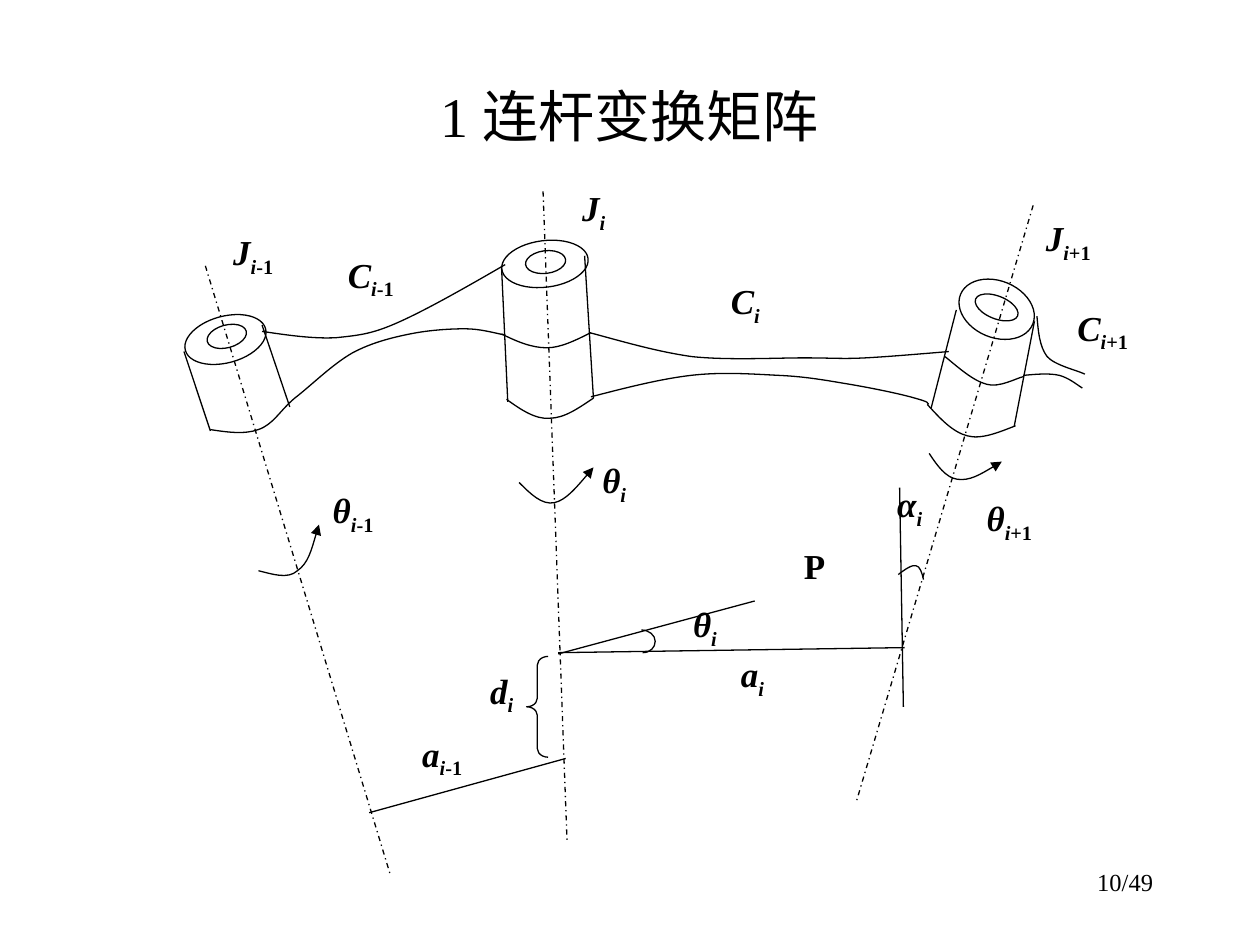
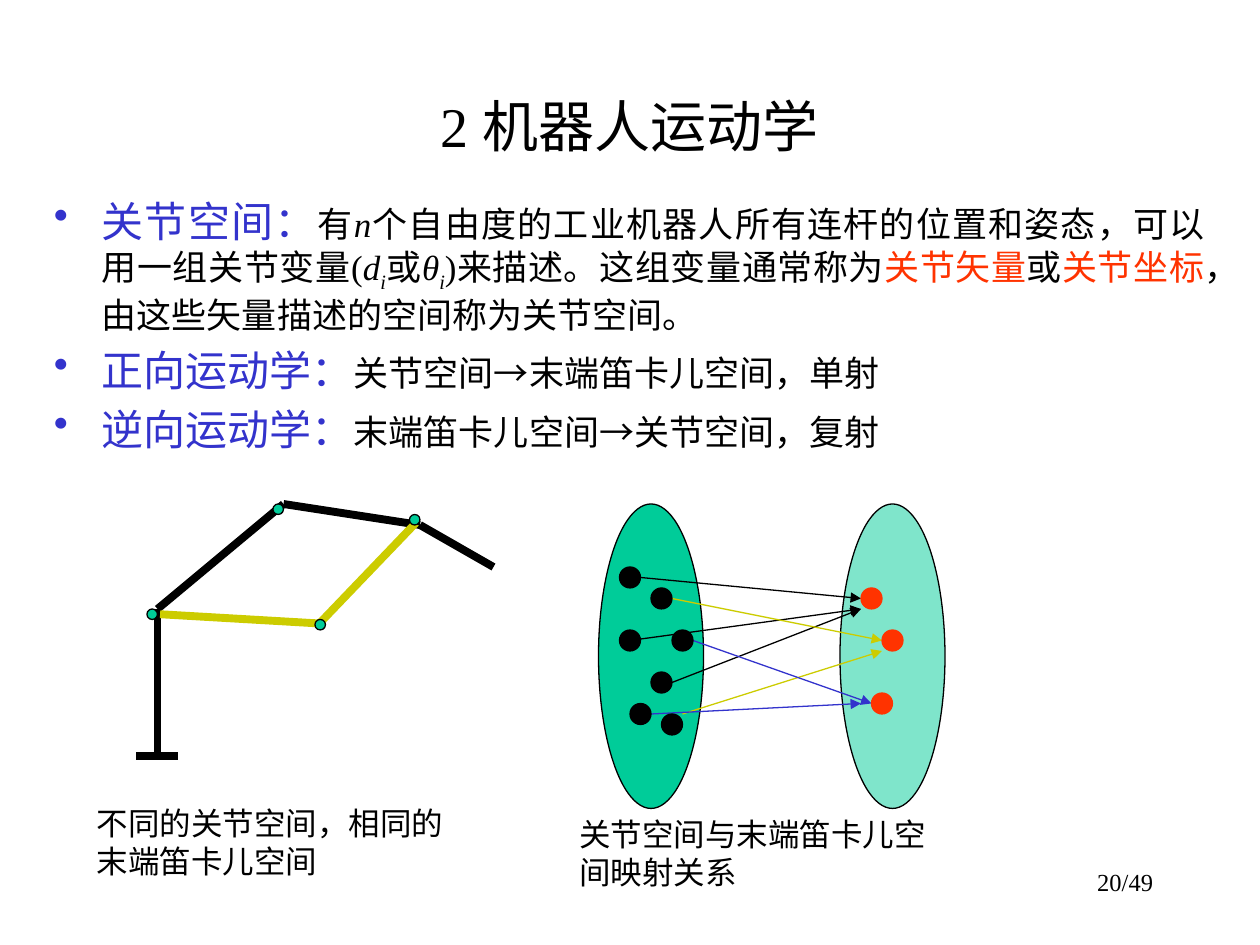
from pptx import Presentation
from pptx import util as u
from pptx.dml.color import RGBColor
from pptx.enum import dml, shapes, text
from pptx.oxml import parse_xml
from pptx.oxml.ns import nsdecls, qn
from pptx.oxml.xmlchemy import OxmlElement

theme = dict(font="Times New Roman", black="000000", blue="3333CC", red="FF3300",
             green="00CC99", olive="CCCC00", title=32, lead=24, body=20,
             note=18, foot=14, thin=0.75, thick=4.5)
oval = shapes.MSO_SHAPE.OVAL
left, mid, right, just = (text.PP_ALIGN.LEFT, text.PP_ALIGN.CENTER,
                          text.PP_ALIGN.RIGHT, text.PP_ALIGN.JUSTIFY)


def write(para, size, runs, align=left):
    """Fill a paragraph with (words, format) runs."""
    para.alignment = align
    for words, form in runs:
        run = para.add_run()
        run.text = words
        base = dict(name=theme["font"], size=u.Pt(form.get("size", size)),
                    bold=form.get("bold", False), italic=form.get("italic", False))
        for key, val in base.items():
            setattr(run.font, key, val)
        run.font.color.rgb = RGBColor.from_string(theme[form.get("ink", "black")])
        if form.get("sub"):
            run._r.get_or_add_rPr().set("baseline", "-25000")


def style(shape, ink="black", width=theme["thin"], fill=None, dash=None, tip=False, turn=0):
    """Set the line, fill, arrowhead and rotation, and drop the shadow."""
    if hasattr(shape, "fill"):
        if fill:
            shape.fill.solid()
            shape.fill.fore_color.rgb = RGBColor.from_string(theme[fill])
        else:
            shape.fill.background()
        shape.rotation = turn
    shape.line.color.rgb = RGBColor.from_string(theme[ink])
    shape.line.width = u.Pt(width)
    if dash:
        shape.line.dash_style = dash
    if tip:
        shape.line._get_or_add_ln().append(
            parse_xml('<a:tailEnd %s type="triangle"/>' % nsdecls("a")))
    shape._element.spPr.append(OxmlElement("a:effectLst"))


deck = Presentation()
deck.slide_width, deck.slide_height = u.Inches(10), u.Inches(7.5)

# Title and page number of each slide
pages = []
for name, tall, page in [("1 连杆变换矩阵", 0.67, "10/49"), ("2 机器人运动学", 0.83, "20/49")]:
    slide = deck.slides.add_slide(deck.slide_layouts[5])
    head = slide.shapes.title
    place = dict(left=0.75, top=0.58, width=8.5, height=tall)
    for key, val in place.items():
        setattr(head, key, u.Inches(val))
    head.text_frame.auto_size = text.MSO_AUTO_SIZE.NONE
    head.text_frame.vertical_anchor = text.MSO_ANCHOR.MIDDLE
    write(head.text_frame.paragraphs[0], theme["title"], [(name, {})], mid)
    foot = slide.shapes.add_textbox(*map(u.Inches, (7.17, 6.83, 2.08, 0.5)))
    foot.text_frame.word_wrap = True
    write(foot.text_frame.paragraphs[0], theme["foot"], [(page, {})], right)
    pages.append(slide.shapes)
link, space = pages

# Slide 1: rings on top of the three joints
rings = [(1.64, 2.58, 0.32, 0.18, 345), (1.46, 2.51, 0.66, 0.37, 345),
         (4.17, 1.99, 0.32, 0.18, 352.9), (3.98, 1.91, 0.69, 0.37, 352.9),
         (7.73, 2.35, 0.36, 0.18, 21.8), (7.6, 2.23, 0.62, 0.45, 22.6)]
for *box, turn in rings:
    style(link.add_shape(oval, *map(u.Inches, box)), turn=turn)

# Straight lines: joint sides, common normals, then joint axes
sides = [(1.46, 2.79, 1.67, 3.42), (2.08, 2.58, 2.3, 3.23),
         (3.98, 2.11, 4.03, 3.19), (4.64, 2.03, 4.71, 3.16),
         (7.59, 2.46, 7.39, 3.24), (8.21, 2.55, 8.05, 3.38)]
norms = [(2.93, 6.45, 4.49, 6.02), (4.43, 5.18, 7.18, 5.14),
         (7.14, 3.87, 7.17, 5.61), (4.43, 5.19, 5.99, 4.77)]
axes = [(1.63, 2.11, 3.1, 6.95), (4.31, 1.52, 4.5, 6.67), (8.2, 1.63, 6.8, 6.35)]
for rows, dash in [(sides + norms, None), (axes, dml.MSO_LINE.DASH_DOT)]:
    for ends in rows:
        line = link.add_connector(shapes.MSO_CONNECTOR.STRAIGHT, *map(u.Inches, ends))
        style(line, dash=dash)

# Curves: a start point, then three points for each Bezier piece
curves = [
    # Left link
    [(1.67, 3.41), (1.8, 3.43), (1.94, 3.45), (2.05, 3.41), (2.17, 3.37), (2.22, 3.26),
     (2.34, 3.16), (2.47, 3.06), (2.64, 2.89), (2.8, 2.8), (2.95, 2.72), (3.11, 2.68),
     (3.26, 2.65), (3.41, 2.62), (3.57, 2.61), (3.69, 2.61), (3.81, 2.61), (3.91, 2.64),
     (4.01, 2.66)],
    [(2.08, 2.63), (2.28, 2.66), (2.49, 2.69), (2.67, 2.68), (2.86, 2.66), (2.96, 2.65),
     (3.18, 2.55), (3.4, 2.45), (3.7, 2.28), (4.01, 2.1)],
    # Bands of the middle and right joints
    [(3.98, 2.65), (4.1, 2.71), (4.22, 2.76), (4.34, 2.76), (4.45, 2.76), (4.57, 2.7),
     (4.69, 2.64)],
    [(4.02, 3.17), (4.13, 3.25), (4.25, 3.33), (4.36, 3.32), (4.48, 3.32), (4.59, 3.24),
     (4.71, 3.16)],
    [(7.5, 2.83), (7.61, 2.92), (7.72, 3.02), (7.83, 3.05), (7.93, 3.08), (8.07, 3),
     (8.12, 2.99)],
    [(7.36, 3.21), (7.46, 3.32), (7.56, 3.43), (7.68, 3.46), (7.79, 3.49), (7.93, 3.43),
     (8.06, 3.38)],
    # Middle link
    [(4.68, 2.64), (4.94, 2.71), (5.21, 2.79), (5.49, 2.83), (5.77, 2.86), (6.16, 2.84),
     (6.38, 2.84), (6.61, 2.84), (6.68, 2.85), (6.87, 2.84), (7.06, 2.83), (7.29, 2.81),
     (7.53, 2.79)],
    [(4.69, 3.15), (4.96, 3.08), (5.23, 3.01), (5.48, 2.98), (5.73, 2.95), (5.98, 2.97),
     (6.19, 2.98), (6.4, 2.99), (6.56, 3.02), (6.74, 3.05), (6.92, 3.08), (7.16, 3.13),
     (7.26, 3.16), (7.37, 3.19), (7.37, 3.2), (7.37, 3.21)],
    # Right link
    [(8.23, 2.51), (8.24, 2.63), (8.25, 2.75), (8.31, 2.83), (8.37, 2.9), (8.55, 2.94),
     (8.61, 2.97)],
    [(8.12, 2.98), (8.22, 2.97), (8.33, 2.96), (8.41, 2.98), (8.48, 3), (8.53, 3.04),
     (8.59, 3.08)],
    # Angle marks
    [(7.13, 4.56), (7.18, 4.52), (7.24, 4.48), (7.27, 4.49), (7.3, 4.49), (7.32, 4.55),
     (7.33, 4.6)],
    [(5.09, 5), (5.15, 5), (5.2, 5.04), (5.2, 5.09), (5.2, 5.14), (5.16, 5.18),
     (5.1, 5.18)],
]
spins = [
    ([(4.12, 3.83), (4.21, 3.92), (4.3, 4.01), (4.4, 3.99), (4.49, 3.97), (4.6, 3.84),
      (4.71, 3.71)], 0),
    ([(2.03, 4.47), (2.13, 4.52), (2.24, 4.59), (2.33, 4.54), (2.43, 4.5), (2.5, 4.36),
      (2.58, 4.22)], 347.1),
    ([(7.36, 3.64), (7.44, 3.73), (7.52, 3.81), (7.61, 3.81), (7.71, 3.81), (7.82, 3.72),
      (7.94, 3.62)], 8.4),
]
for dots, turn, tip in [(c, 0, False) for c in curves] + [(*s, True) for s in spins]:
    start, *rest = [(u.Inches(x), u.Inches(y)) for x, y in dots]
    pen = link.build_freeform(*start)
    pen.add_line_segments(rest, close=False)
    curve = pen.convert_to_shape()
    steps = list(curve._element.iter(qn("a:lnTo")))
    for i in range(0, len(steps), 3):
        bend = OxmlElement("a:cubicBezTo")
        steps[i].addprevious(bend)
        for step in steps[i:i + 3]:
            bend.append(step[0])
            step.getparent().remove(step)
    style(curve, tip=tip, turn=turn)

# Brace for the link offset
brace = link.add_shape(shapes.MSO_SHAPE.LEFT_BRACE, *map(u.Inches, (4.18, 5.21, 0.17, 0.8)))
brace.adjustments[0] = 0.403
style(brace)

# Symbols: letter, then lowered index and offset
marks = [(4.6, 1.47, "J", "i", ""), (1.83, 1.82, "J", "i", "-1"), (8.28, 1.71, "J", "i", "+1"),
         (2.74, 2, "C", "i", "-1"), (5.78, 2.21, "C", "i", ""), (8.53, 2.42, "C", "i", "+1"),
         (3.87, 5.3, "d", "i", ""), (3.33, 5.8, "a", "i", "-1"), (5.86, 5.17, "a", "i", ""),
         (5.48, 4.77, "θ", "i", ""), (7.1, 3.82, "α", "i", ""), (6.36, 4.31, "P", "", ""),
         (4.76, 3.63, "θ", "i", ""), (2.62, 3.87, "θ", "i", "-1"), (7.81, 3.93, "θ", "i", "+1")]
inset = dict(margin_left=0.02, margin_top=0.01, margin_right=0.02, margin_bottom=0.01)
for x, y, sign, index, shift in marks:
    frame = link.add_textbox(*map(u.Inches, (x, y, 0.58, 0.5))).text_frame
    frame.word_wrap = True
    for key, val in inset.items():
        setattr(frame, key, u.Inches(val))
    runs = [(sign, dict(bold=True, italic=bool(index))),
            (index, dict(bold=True, italic=True, sub=True)),
            (shift, dict(bold=True, sub=True))]
    write(frame.paragraphs[0], theme["body"], [r for r in runs if r[0]], just)

# Slide 2: bulleted definitions
lead = dict(size=theme["lead"], ink="blue")
red, slant, low = dict(ink="red"), dict(italic=True), dict(italic=True, sub=True)
points = [
    [("关节空间：", lead), ("有", {}), ("n", slant),
     ("个自由度的工业机器人所有连杆的位置和姿态，可以用一组关节变量(", {}),
     ("d", slant), ("i", low), ("或", {}), ("θ", slant), ("i", low),
     (")来描述。这组变量通常称为", {}), ("关节矢量", red), ("或", {}), ("关节坐标", red),
     ("，由这些矢量描述的空间称为关节空间。", {})],
    [("正向运动学：", lead), ("关节空间→末端笛卡儿空间，单射", {})],
    [("逆向运动学：", lead), ("末端笛卡儿空间→关节空间，复射", {})],
]
frame = space.add_textbox(*map(u.Inches, (0.33, 1.5, 9.33, 5.5))).text_frame
frame.word_wrap = True
for i, runs in enumerate(points):
    para = frame.add_paragraph() if i else frame.paragraphs[0]
    para.space_before = u.Pt(5)
    write(para, theme["body"], runs, just)
    props = para._p.get_or_add_pPr()
    props.set("marL", str(u.Inches(0.38)))
    props.set("indent", str(-u.Inches(0.38)))
    props.append(parse_xml('<a:buChar %s char="•"/>' % nsdecls("a")))

# The drawings below sit on a grid of twelve units to the inch
unit = u.Inches(1) / 12

# Joint space and end space
for x in (57, 80):
    field = space.add_shape(oval, *[int(v * unit) for v in (x, 48, 10, 29)])
    style(field, fill="green")
tint = field._element.spPr.find(qn("a:solidFill"))[0]
tint.append(parse_xml('<a:alpha %s val="50000"/>' % nsdecls("a")))

# Robot arm and the maps between the spaces
arm = [(15, 72, 15, 58), (15, 58, 27, 48), (27, 48, 40, 50), (13, 72, 17, 72), (40, 50, 47, 54)]
other = [(15.25, 58.5, 30.8, 59.4), (39.6, 49.8, 30.5, 59.3)]
maps = [("black", [(61, 55, 82, 57), (60, 61, 82, 58), (64, 65, 82, 58)]),
        ("olive", [(64, 57, 84, 61), (65, 68, 84, 62)]),
        ("blue", [(66, 61, 83, 67), (62, 68, 82, 67)])]
lines = [("black", arm, theme["thick"], False), ("olive", other, theme["thick"], False)]
lines += [(ink, rows, theme["thin"], True) for ink, rows in maps]
for ink, rows, width, tip in lines:
    for ends in rows:
        line = space.add_connector(shapes.MSO_CONNECTOR.STRAIGHT, *[int(v * unit) for v in ends])
        style(line, ink, width, tip=tip)

# Arm joints and the points of both spaces
spots = [("green", "black", 1, [(14, 58), (26, 48), (30, 59), (39, 49)]),
         ("black", "black", 2, [(59, 54), (62, 56), (59, 60), (64, 60), (60, 67), (62, 64),
                                (63, 68)]),
         ("red", "red", 2, [(82, 56), (84, 60), (83, 66)])]
for fill, ink, size, spot in spots:
    for x, y in spot:
        dot = space.add_shape(oval, *[int(v * unit) for v in (x, y, size, size)])
        style(dot, ink, fill=fill)

# Captions
for x, y, words in [(0.67, 6.33, "不同的关节空间，相同的末端笛卡儿空间"),
                    (4.5, 6.42, "关节空间与末端笛卡儿空间映射关系")]:
    frame = space.add_textbox(*map(u.Inches, (x, y, 3.08, 0.7))).text_frame
    frame.word_wrap = True
    frame.paragraphs[0].space_before = u.Pt(9)
    write(frame.paragraphs[0], theme["note"], [(words, {})])

deck.save("out.pptx")
